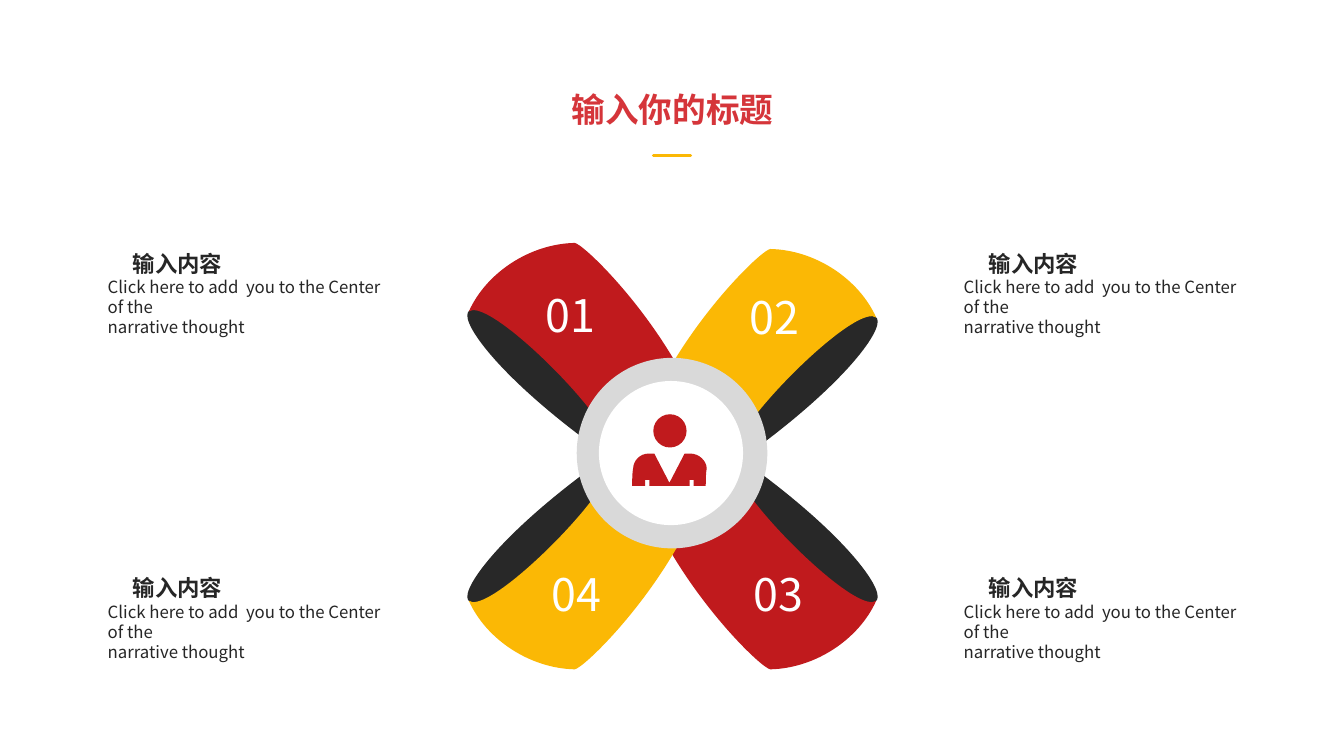
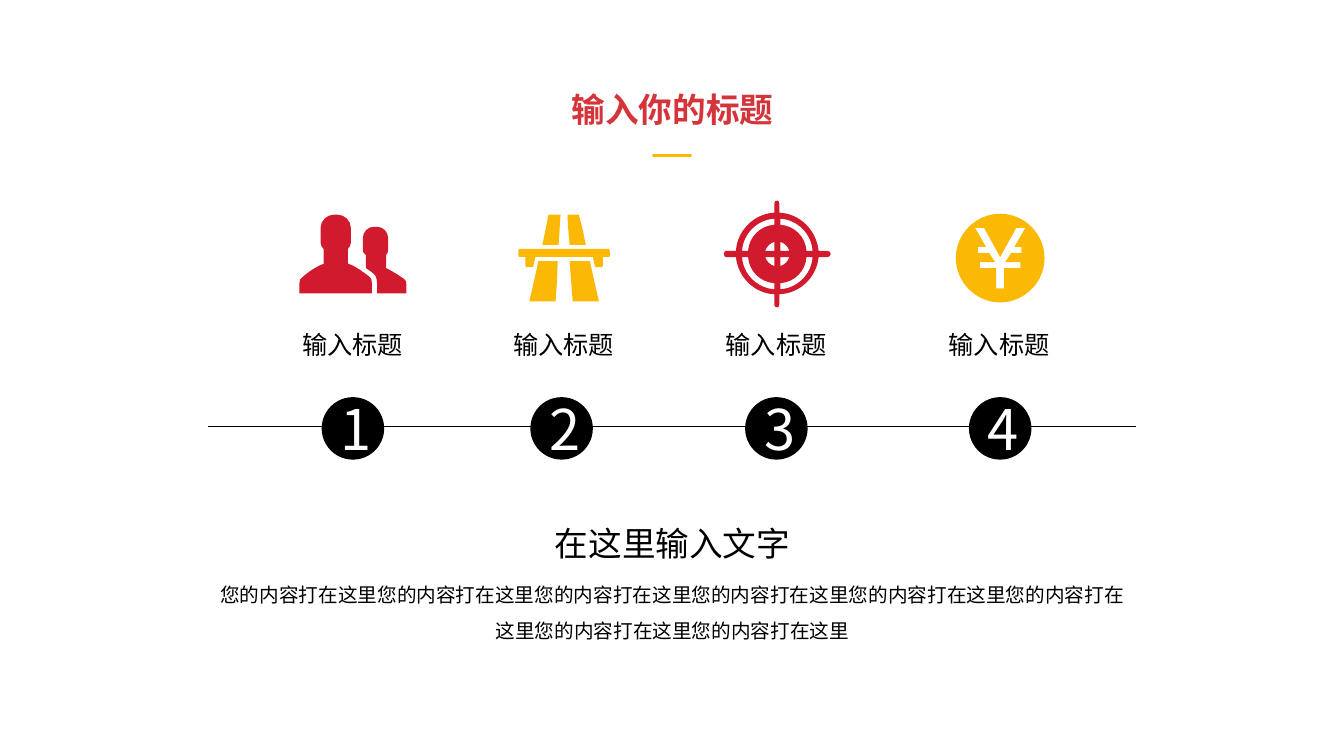
from dataclasses import dataclass

from lxml import etree
from pptx import Presentation
from pptx.dml.color import RGBColor
from pptx.enum import shapes, text
from pptx.oxml import ns
from pptx.util import Inches, Pt


@dataclass(frozen=True)
class Theme:
    font: str = "Noto Sans CJK SC"
    title_red: str = "D5353A"
    blade_red: str = "C01A1D"
    icon_red: str = "D11A2E"
    yellow: str = "FBB805"
    dark: str = "282828"
    ink: str = "262626"
    ring: str = "D9D9D9"
    black: str = "000000"
    white: str = "FFFFFF"
    title: int = 24
    blade_number: int = 32
    step_number: int = 40
    label: int = 18
    heading: int = 16
    body: int = 14
    small: int = 12


THEME = Theme()
CENTER = text.PP_ALIGN.CENTER
TITLE = "输入你的标题"

# Outlines: coordinates in hundredths of an inch from the top left of their box
BLADE_SIZE = (214, 197)
BLADE_SHADE = "M 128 168 L 120 197 C 27 128 -10 74 3 67 C 21 55 87 117 128 168 Z"
BLADE_FACE = ("M 214 131 C 174 57 115 1 107 0 C 62 1 19 30 2 68 "
              "C 18 56 96 129 127 172 L 214 131 Z")
TORSO = ("M 13 32 L 13 26 L 17 26 L 17 32 L 57 32 L 57 26 L 61 26 L 61 32 L 73 32 "
         "C 73 17 74 15 74 15 C 74 7 66 0 58 0 L 52 0 L 37 29 L 22 0 L 16 0 "
         "C 8 0 1 7 1 15 C 1 15 0 17 0 32 L 13 32 Z")
PEOPLE = ("M 74 12 L 77 12 C 83 12 88 17 88 23 L 88 36 C 88 37 87 39 86 40 L 86 52 "
          "C 86 53 86 53 86 53 C 88 54 96 58 104 64 C 106 65 106 67 106 69 "
          "L 106 78 L 77 78 L 77 68 C 77 64 76 60 73 58 C 70 56 68 54 66 53 "
          "L 66 40 C 64 39 63 37 63 36 L 63 23 C 63 17 68 12 74 12 Z "
          "M 35 0 L 38 0 C 45 0 51 6 51 13 L 51 28 C 51 30 50 32 48 34 L 48 48 "
          "C 48 48 48 48 49 49 C 51 49 60 54 70 62 C 71 63 72 65 72 68 L 72 78 L 0 78 "
          "L 0 68 C 0 65 1 63 3 62 C 12 54 22 49 24 49 L 24 34 C 22 32 21 30 21 28 "
          "L 21 13 C 21 6 27 0 35 0 Z")
ROAD = ("M 51 46 L 71 46 C 74 60 77 73 80 86 L 54 86 C 53 73 52 60 51 46 Z "
        "M 20 46 L 39 46 C 39 60 38 73 37 86 L 11 86 C 14 73 17 60 20 46 Z "
        "M 1 34 L 90 34 C 90 34 91 35 91 36 L 91 41 C 91 42 90 42 90 42 L 84 42 "
        "L 84 51 C 84 51 83 52 83 52 L 77 52 C 77 52 76 51 76 51 L 74 42 L 17 42 "
        "L 15 51 C 14 51 14 52 14 52 L 8 52 C 7 52 7 51 7 51 L 7 42 L 1 42 "
        "C 1 42 0 42 0 41 L 0 36 C 0 35 1 34 1 34 Z "
        "M 49 0 L 60 0 C 63 10 65 20 67 30 L 51 30 C 50 20 49 10 49 0 Z "
        "M 30 0 L 42 0 C 41 10 41 20 40 30 L 24 30 C 26 20 28 10 30 0 Z")
TARGET_SIZE = (106, 106)
TARGET_EDGE = ("M 103 50 L 94 50 C 92 30 76 13 55 12 L 55 3 C 55 1 54 0 53 0 "
               "C 51 0 50 1 50 3 L 50 12 C 30 13 13 30 12 50 L 2 50 "
               "C 1 50 0 51 0 53 C 0 55 1 56 2 56 L 12 56 C 14 76 30 92 50 93 "
               "L 50 103 C 50 105 51 106 53 106 C 54 106 55 105 55 103 L 55 93 "
               "C 76 92 92 76 94 56 L 103 56 C 104 56 106 55 106 53 "
               "C 106 51 104 50 103 50 Z")
TARGET_HOLES = ("M 50 18 L 50 24 C 36 25 25 36 24 50 L 18 50 C 19 33 33 19 50 18 Z "
                "M 50 50 L 41 50 C 42 46 46 42 50 41 L 50 50 Z")
YEN = ("M 44 0 C 20 0 0 20 0 44 C 0 68 20 88 44 88 C 68 88 88 68 88 44 "
       "C 88 20 68 0 44 0 Z "
       "M 65 33 L 65 39 L 55 39 L 49 48 L 64 48 L 64 54 L 48 54 L 48 74 L 40 74 "
       "L 40 54 L 24 54 L 24 48 L 39 48 L 33 39 L 22 39 L 22 33 L 30 33 L 19 14 "
       "L 28 14 L 44 43 L 60 14 L 69 14 L 58 33 L 65 33 Z")


def trace(outline, size=(0, 0), flip_x=False, flip_y=False):
    """Read contours as lists of segments, each with its controls and end point."""
    contours = []
    marks = iter(outline.split())

    def point():
        x, y = int(next(marks)), int(next(marks))
        return (Inches((size[0] - x if flip_x else x) / 100),
                Inches((size[1] - y if flip_y else y) / 100))

    for mark in marks:
        if mark == "M":
            contours.append([[point()]])
        elif mark in "LC":
            contours[-1].append([point() for _ in range(3 if mark == "C" else 1)])
    return contours


def target_contours():
    contours = trace(TARGET_EDGE)
    for flip_x in (False, True):
        for flip_y in (False, True):
            contours += trace(TARGET_HOLES, TARGET_SIZE, flip_x, flip_y)
    return contours


def paint(shape, color):
    shape.shadow.inherit = False
    shape.fill.solid()
    shape.fill.fore_color.rgb = RGBColor.from_string(color)
    shape.line.fill.background()


def bend(shape, segments):
    """Turn the straight segments that have controls into Bézier curves."""
    ends = [segment[-1] for segment in segments]
    origin_x, origin_y = min(x for x, _ in ends), min(y for _, y in ends)
    drawn = list(shape._element.iter(ns.qn("a:moveTo"), ns.qn("a:lnTo")))
    for element, segment in zip(drawn, segments):
        if len(segment) == 3:
            element.tag = ns.qn("a:cubicBezTo")
            for index, (x, y) in enumerate(segment[:2]):
                control = etree.Element(ns.qn("a:pt"), x=str(x - origin_x),
                                        y=str(y - origin_y))
                element.insert(index, control)


def add_outline(page, left, top, contours, color):
    builder = page.shapes.build_freeform(*contours[0][0][-1], scale=1.0)
    for index, contour in enumerate(contours):
        if index:
            builder.move_to(*contour[0][-1])
        builder.add_line_segments([segment[-1] for segment in contour[1:]], close=True)
    shape = builder.convert_to_shape(Inches(left), Inches(top))
    bend(shape, [segment for contour in contours for segment in contour])
    paint(shape, color)


def add_disc(page, left, top, size, color):
    disc = page.shapes.add_shape(shapes.MSO_SHAPE.OVAL, Inches(left), Inches(top),
                                 Inches(size), Inches(size))
    paint(disc, color)
    return disc


def add_line(page, left, right, y, color, width, cap="flat"):
    line = page.shapes.add_connector(shapes.MSO_CONNECTOR.STRAIGHT, Inches(left), Inches(y),
                                     Inches(right), Inches(y))
    line.line.color.rgb = RGBColor.from_string(color)
    line.line.width = Pt(width)
    line.line._ln.set("cap", cap)
    etree.SubElement(line._element.spPr, ns.qn("a:effectLst"))


def write(para, wording, size, color, bold=False, align=None):
    para.text = wording
    para.alignment = align
    for span in para.runs:
        span.font.name = THEME.font
        span.font.size = Pt(size)
        span.font.bold = bold
        span.font.color.rgb = RGBColor.from_string(color)
        east_asian = etree.SubElement(span.font._element, ns.qn("a:ea"))
        east_asian.set("typeface", THEME.font)


def add_text(page, left, top, width, height, wording, size, color,
             bold=False, align=CENTER, wrap=True, anchor=text.MSO_ANCHOR.TOP):
    box = page.shapes.add_textbox(Inches(left), Inches(top), Inches(width), Inches(height))
    frame = box.text_frame
    frame.word_wrap = wrap
    frame.vertical_anchor = anchor
    write(frame.paragraphs[0], wording, size, color, bold, align)
    return frame


def add_title(page):
    add_text(page, 5.25, 0.83, 2.84, 0.5, TITLE, THEME.title, THEME.title_red, bold=True)
    add_line(page, 6.48, 6.85, 1.54, THEME.yellow, 2, cap="rnd")


# Parts of the pinwheel slide
def add_blade(page, left, top, flip_x, flip_y, color, number, number_x, number_y):
    for outline, fill in ((BLADE_SHADE, THEME.dark), (BLADE_FACE, color)):
        add_outline(page, left, top, trace(outline, BLADE_SIZE, flip_x, flip_y), fill)
    add_text(page, left + number_x, top + number_y, 0.85, 0.56, number,
             THEME.blade_number, THEME.white)


def add_hub(page, left, top):
    add_disc(page, left, top, 1.89, THEME.ring)
    add_disc(page, left + 0.22, top + 0.23, 1.43, THEME.white)
    add_disc(page, left + 0.76, top + 0.56, 0.33, THEME.blade_red)
    add_outline(page, left + 0.55, top + 0.95, trace(TORSO), THEME.blade_red)


def add_note(page, left, top):
    frame = add_text(page, left, top, 3.02, 1.25, "输入内容", THEME.heading, THEME.ink,
                     bold=True, align=None)
    frame.paragraphs[0]._p.get_or_add_pPr().set("indent", str(Inches(0.25)))
    for wording in ("Click here to add  you to the Center of the", "narrative thought"):
        write(frame.add_paragraph(), wording, THEME.small, THEME.ink)


def build_pinwheel(page):
    blades = (
        (4.63, 2.41, False, False, THEME.blade_red, "01", 0.6, 0.4),
        (6.57, 4.67, True, True, THEME.blade_red, "03", 0.73, 0.9),
        (4.63, 4.67, False, True, THEME.yellow, "04", 0.66, 0.9),
        (6.57, 2.47, True, False, THEME.yellow, "02", 0.69, 0.36),
    )
    for blade in blades:
        add_blade(page, *blade)
    add_hub(page, 5.72, 3.55)
    for left in (0.97, 9.46):
        for top in (2.43, 5.65):
            add_note(page, left, top)
    add_title(page)


# Parts of the timeline slide
def add_step(page, left, number, label_left, icon, icon_left, icon_top, color):
    add_outline(page, icon_left, icon_top, icon, color)
    add_text(page, label_left, 3.22, 1.21, 0.4, "输入标题", THEME.label, THEME.black,
             align=None, wrap=False)
    disc = add_disc(page, left, 3.94, 0.62, THEME.black)
    disc.text_frame.vertical_anchor = text.MSO_ANCHOR.MIDDLE
    write(disc.text_frame.paragraphs[0], str(number), THEME.step_number, THEME.white,
          align=CENTER)


def add_summary(page, left, top, width):
    add_text(page, left, top, width, 1.11, "在这里输入文字", THEME.title, THEME.black,
             anchor=text.MSO_ANCHOR.MIDDLE)
    frame = add_text(page, left, top + 0.79, width, 0.91, "您的内容打在这里" * 8,
                     THEME.body, THEME.black)
    frame.paragraphs[0].line_spacing = 1.5


def build_timeline(page):
    add_line(page, 2.06, 11.27, 4.23, THEME.black, 0.5)
    steps = (
        (3.19, 2.9, trace(PEOPLE), 2.97, 2.13, THEME.icon_red),
        (5.26, 4.99, trace(ROAD), 5.14, 2.13, THEME.yellow),
        (7.39, 7.1, target_contours(), 7.18, 1.99, THEME.icon_red),
        (9.61, 9.31, trace(YEN), 9.48, 2.12, THEME.yellow),
    )
    for number, (left, *parts) in enumerate(steps, 1):
        add_step(page, left, number, *parts)
    add_summary(page, 1.99, 4.83, 9.36)
    add_title(page)


def main():
    deck = Presentation()
    deck.slide_width, deck.slide_height = Inches(13.33), Inches(7.5)
    for build in (build_pinwheel, build_timeline):
        build(deck.slides.add_slide(deck.slide_layouts[6]))
    deck.save("out.pptx")


if __name__ == "__main__":
    main()
